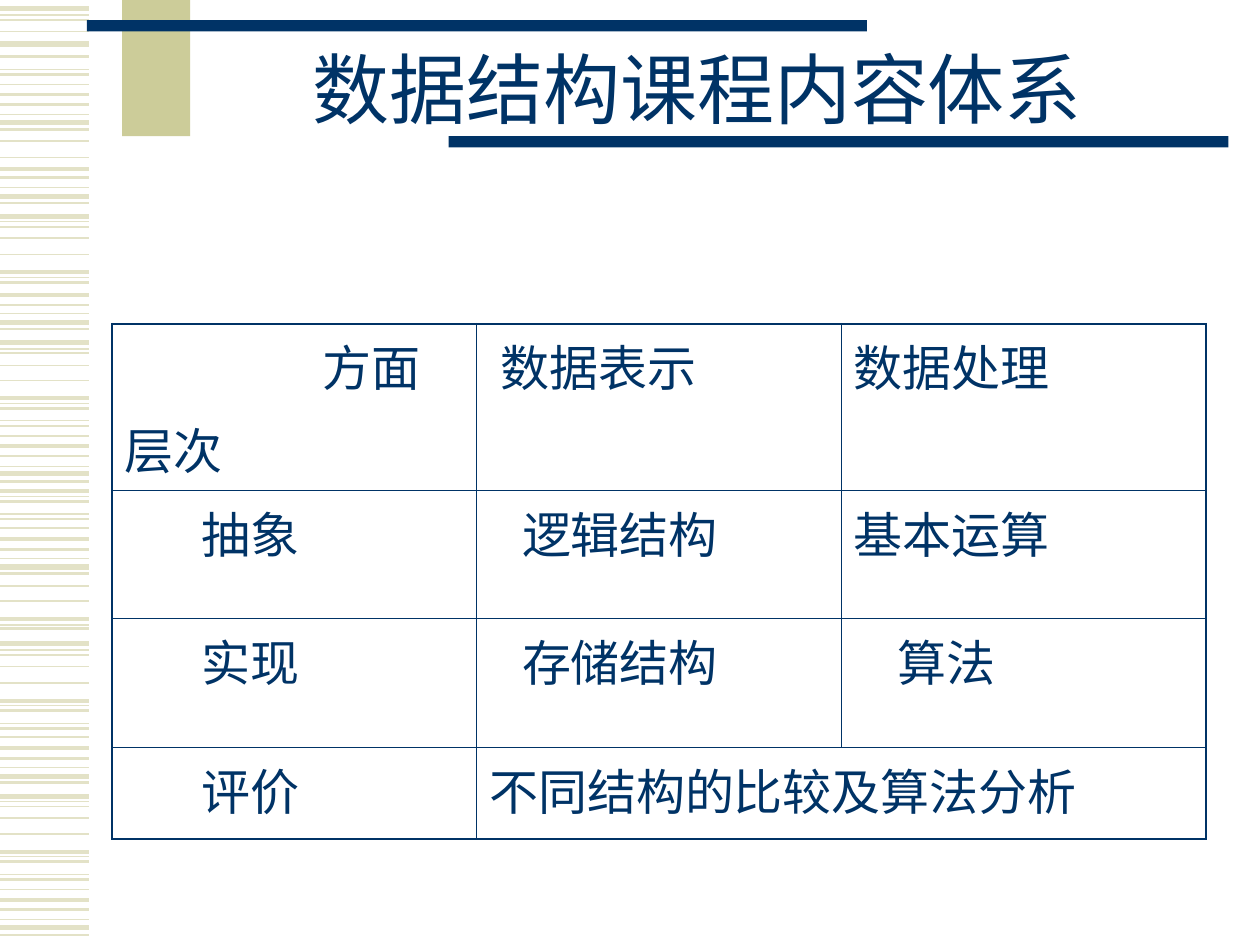
import dataclasses

import pptx
import pptx.dml.color
import pptx.enum.shapes
import pptx.enum.text
import pptx.oxml
import pptx.oxml.ns
import pptx.util
from pptx.util import Inches


@dataclasses.dataclass(frozen=True)
class Theme:
    navy: str = "003366"
    khaki: str = "CCCC99"
    stripe: str = "E3E2C7"
    font: str = "Times New Roman"
    title_size: int = 44
    table_size: int = 28
    outer_border: float = 1.08
    inner_border: float = 0.45


theme = Theme()
rgb = pptx.dml.color.RGBColor.from_string
nsdecls = pptx.oxml.ns.nsdecls


def write(p, text, size, indent=0, before=0, line_spacing=None, align=None):
    p.alignment = align
    p.space_before = pptx.util.Pt(before)
    p.line_spacing = line_spacing
    pPr = p._p.get_or_add_pPr()
    pPr.set("marL", str(Inches(indent)))
    pPr.set("indent", "0")
    r = p.add_run()
    r.text = text
    r.font.size = pptx.util.Pt(size)
    r.font.name = theme.font
    r.font.color.rgb = rgb(theme.navy)


def set_border(cell, side, width):
    """Draw one edge; side is L, R, T or B, and edges must come in that order."""
    cell._tc.get_or_add_tcPr().append(pptx.oxml.parse_xml(
        f'<a:ln{side} {nsdecls("a")} w="{pptx.util.Pt(width)}"><a:solidFill>'
        f'<a:srgbClr val="{theme.navy}"/></a:solidFill></a:ln{side}>'))


prs = pptx.Presentation()
prs.slide_width, prs.slide_height = Inches(10), Inches(7.5)
s = prs.slides.add_slide(prs.slide_layouts[5])

# Stripes down the left edge: line weight -> heights on the slide
stripes = {
    3: [0.07, 0.35, 0.97, 1.56, 1.72, 2.56, 2.72, 3.76, 4.5, 5.11, 6.16,
        6.32, 7.36],
    2.25: [0.75, 1.34, 2.16, 2.34, 3.16, 3.54, 3.9, 4.28, 4.91, 5.56, 5.94,
           6.76, 7.14],
    1.5: [0.45, 0.59, 0.83, 1.03, 1.41, 1.61, 2.24, 2.42, 2.61, 3.24, 3.38,
          3.62, 3.82, 3.98, 4.12, 4.36, 4.55, 4.99, 5.64, 5.78, 6.02, 6.21,
          6.84, 6.98, 7.22, 7.42],
    1: [0.16, 0.25, 0.67, 1.12, 1.25, 1.8, 1.89, 2.02, 2.8, 2.9, 3.02, 3.46,
        4.19, 4.65, 4.77, 5.2, 5.29, 5.42, 5.85, 6.4, 6.49, 6.62, 7.06],
    0.75: [0.12, 0.55, 0.91, 1.49, 1.76, 2.2, 2.49, 2.77, 3.2, 3.34, 3.7,
           3.94, 4.08, 4.43, 4.96, 5.16, 5.6, 5.74, 6.09, 6.36, 6.8, 6.94,
           7.3],
}
for weight, heights in stripes.items():
    for y in heights:
        line = s.shapes.add_connector(
            pptx.enum.shapes.MSO_CONNECTOR.STRAIGHT,
            Inches(0), Inches(y), Inches(0.71), Inches(y))
        line.line.color.rgb = rgb(theme.stripe)
        line.line.width = pptx.util.Pt(weight)
        line._element.spPr.append(
            pptx.oxml.parse_xml(f'<a:effectLst {nsdecls("a")}/>'))

# Block and bars around the title
for x, y, w, h, color in [
    (0.97, 0, 0.54, 1.08, theme.khaki),
    (0.69, 0.16, 6.19, 0.09, theme.navy),
    (3.56, 1.08, 6.19, 0.09, theme.navy),
]:
    sp = s.shapes.add_shape(pptx.enum.shapes.MSO_SHAPE.RECTANGLE,
                            Inches(x), Inches(y), Inches(w), Inches(h))
    sp.fill.solid()
    sp.fill.fore_color.rgb = rgb(color)
    sp.line.fill.background()
    sp.shadow.inherit = False

title = s.shapes.title
title.left, title.top = Inches(1.5), Inches(0.25)
title.width, title.height = Inches(8.07), Inches(1)
tf = title.text_frame
tf.word_wrap = True
tf.auto_size = pptx.enum.text.MSO_AUTO_SIZE.NONE
tf.vertical_anchor = pptx.enum.text.MSO_ANCHOR.MIDDLE
write(tf.paragraphs[0], "数据结构课程内容体系", theme.title_size,
      line_spacing=0.85, align=pptx.enum.text.PP_ALIGN.CENTER)

# Each cell is a list of (text, indent in inches) paragraphs
rows = [
    [[("方面", 1.57), ("层次", 0)], [("数据表示", 0.09)], [("数据处理", 0)]],
    [[("抽象", 0.61)], [("逻辑结构", 0.26)], [("基本运算", 0)]],
    [[("实现", 0.61)], [("存储结构", 0.26)], [("算法", 0.35)]],
    [[("评价", 0.61)], [("不同结构的比较及算法分析", 0)], []],
]
row_heights = [1.13, 1.02, 1.02, 0.73]
last_row, last_col = len(rows) - 1, len(rows[0]) - 1
table = s.shapes.add_table(len(rows), len(rows[0]), Inches(0.89), Inches(2.57),
                           Inches(8.68), Inches(sum(row_heights))).table
table.first_row = table.horz_banding = False
table.cell(last_row, 1).merge(table.cell(last_row, last_col))
for i, row in enumerate(rows):
    table.rows[i].height = Inches(row_heights[i])
    for j, paragraphs in enumerate(row):
        cell = table.cell(i, j)
        on_edge = {
            "L": j == 0,
            "R": j == last_col or cell.is_merge_origin,
            "T": i == 0,
            "B": i == last_row,
        }
        for side, outer in on_edge.items():
            set_border(cell, side,
                       theme.outer_border if outer else theme.inner_border)
        cell.fill.background()
        tf = cell.text_frame
        for k, (text, indent) in enumerate(paragraphs):
            p = tf.add_paragraph() if k else tf.paragraphs[0]
            write(p, text, theme.table_size, indent=indent, before=7)

prs.save("out.pptx")
